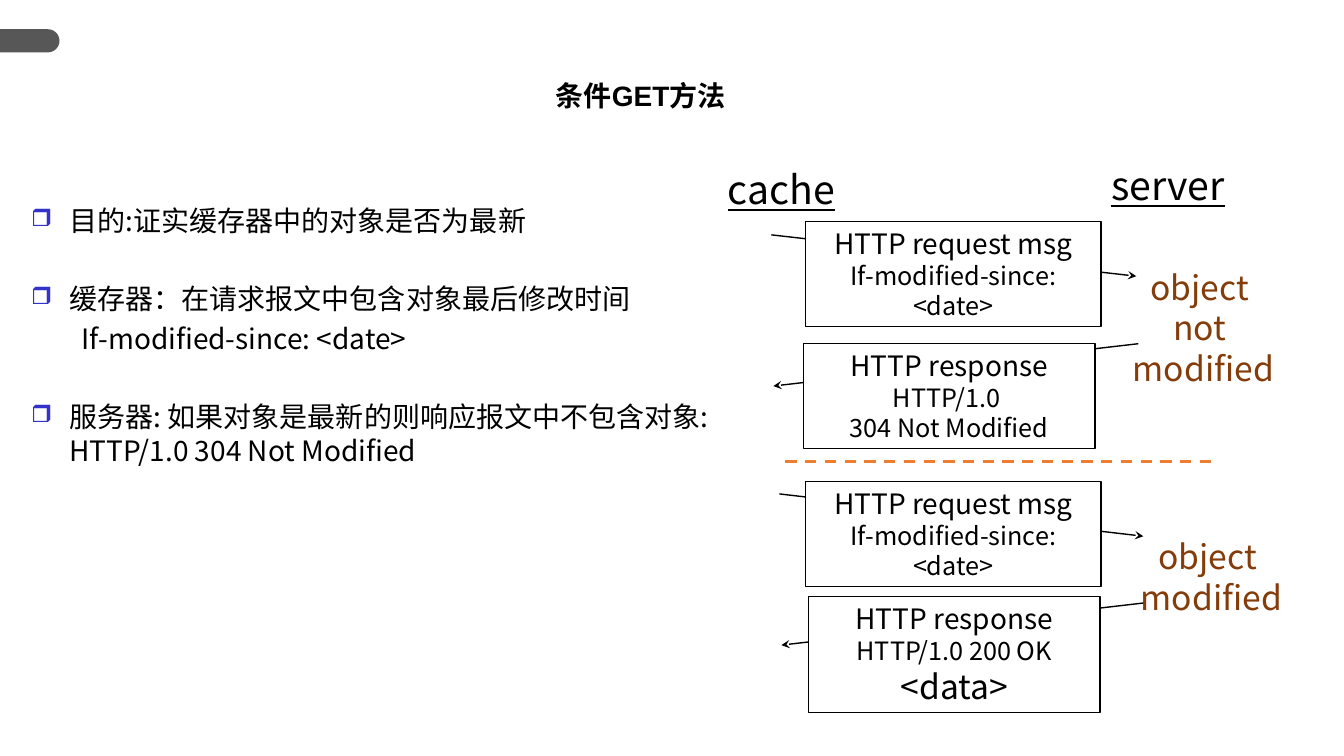
from lxml.etree import SubElement
from pptx import Presentation
from pptx.dml.color import RGBColor
from pptx.enum.dml import MSO_LINE
from pptx.enum.shapes import MSO_CONNECTOR, MSO_SHAPE
from pptx.enum.text import MSO_ANCHOR, MSO_AUTO_SIZE, PP_ALIGN
from pptx.oxml.ns import qn
from pptx.util import Inches, Pt

BLACK = RGBColor(0, 0, 0)
WHITE = RGBColor(0xFF, 0xFF, 0xFF)
GREY = RGBColor(0x57, 0x57, 0x57)
BROWN = RGBColor(0x84, 0x3C, 0x0B)
ORANGE = RGBColor(0xED, 0x7D, 0x31)
BULLET_BLUE = "3333CC"


class SlideBuilder:
    font = "Noto Sans CJK SC"

    def __init__(self, slide):
        self.slide = slide

    def add_run(self, paragraph, text, size, color=BLACK, font=None, bold=False, underline=False):
        run = paragraph.add_run()
        run.text = text
        run.font.name = font or self.font
        run.font.size = Pt(size)
        run.font.bold = bold
        run.font.underline = underline
        run.font.color.rgb = color
        SubElement(run.font._element, qn("a:ea"), typeface=self.font)

    def fill_lines(self, shape, lines, **style):
        """Write (text, size) pairs as centred paragraphs."""
        frame = shape.text_frame
        for index, (text, size) in enumerate(lines):
            paragraph = frame.add_paragraph() if index else frame.paragraphs[0]
            paragraph.alignment = PP_ALIGN.CENTER
            self.add_run(paragraph, text, size, **style)

    def text_box(self, left, top, width, height, wrap=True):
        shape = self.slide.shapes.add_textbox(Inches(left), Inches(top), Inches(width), Inches(height))
        shape.text_frame.word_wrap = wrap
        return shape

    def label(self, bounds, lines, **style):
        shape = self.text_box(*bounds, wrap=False)
        shape.text_frame.auto_size = MSO_AUTO_SIZE.SHAPE_TO_FIT_TEXT
        self.fill_lines(shape, lines, **style)

    def title(self, bounds, text):
        shape = self.text_box(*bounds)
        shape.text_frame.vertical_anchor = MSO_ANCHOR.MIDDLE
        self.fill_lines(shape, [(text, 20)], font="Arial", bold=True)
        shape.text_frame.paragraphs[0].line_spacing = 0.9

    def bullet_list(self, bounds, items):
        """Write (text, level, space before) items; level 0 has a bullet."""
        frame = self.text_box(*bounds).text_frame
        for index, (text, level, space) in enumerate(items):
            paragraph = frame.add_paragraph() if index else frame.paragraphs[0]
            paragraph.level = level
            paragraph.space_before = Pt(space)
            margin, indent = ((0.38, -0.38), (0.81, -0.31))[level]
            properties = paragraph._p.get_or_add_pPr()
            properties.set("marL", str(Inches(margin)))
            properties.set("indent", str(Inches(indent)))
            if level == 0:
                color = SubElement(properties, qn("a:buClr"))
                SubElement(color, qn("a:srgbClr"), val=BULLET_BLUE)
                SubElement(properties, qn("a:buSzPct"), val="85000")
                SubElement(properties, qn("a:buChar"), char="❒")
            else:
                SubElement(properties, qn("a:buNone"))
            self.add_run(paragraph, text, 20)

    def shape(self, kind, left, top, width, height, fill):
        shape = self.slide.shapes.add_shape(kind, Inches(left), Inches(top), Inches(width), Inches(height))
        shape.shadow.inherit = False
        shape.fill.solid()
        shape.fill.fore_color.rgb = fill
        shape.line.fill.background()
        return shape

    def corner_tab(self, left, top, width, height):
        # Drawn upright, then turned so that the round end points right
        shape = self.shape(MSO_SHAPE.ROUND_2_SAME_RECTANGLE, left + (width - height) / 2,
                           top + (height - width) / 2, height, width, GREY)
        shape.adjustments[0] = 0.5
        shape.rotation = 90

    def message(self, bounds, lines):
        shape = self.shape(MSO_SHAPE.RECTANGLE, *bounds, WHITE)
        shape.line.color.rgb = BLACK
        shape.line.width = Pt(1)
        shape.text_frame.word_wrap = True
        shape.text_frame.vertical_anchor = MSO_ANCHOR.TOP
        self.fill_lines(shape, lines)

    def line(self, points, color=BLACK, width=1, dash=None, arrow=True):
        connector = self.slide.shapes.add_connector(
            MSO_CONNECTOR.STRAIGHT, *(Inches(value) for value in points))
        connector.line.color.rgb = color
        connector.line.width = Pt(width)
        if dash:
            connector.line.dash_style = dash
        if arrow:
            SubElement(connector.line._get_or_add_ln(), qn("a:tailEnd"), type="stealth")
        SubElement(connector._element.spPr, qn("a:effectLst"))


def main():
    presentation = Presentation()
    presentation.slide_width = Inches(13.33)
    presentation.slide_height = Inches(7.5)
    builder = SlideBuilder(presentation.slides.add_slide(presentation.slide_layouts[6]))

    # Heading
    builder.corner_tab(0, 0.29, 0.59, 0.23)
    builder.title((2, 0.45, 8.71, 1.03), "条件GET方法")

    # Explanation
    builder.bullet_list((0.21, 1.97, 7.35, 3.98), [
        ("目的:证实缓存器中的对象是否为最新", 0, 0),
        ("缓存器：在请求报文中包含对象最后修改时间", 0, 32),
        ("If-modified-since: <date>", 1, 4),
        ("服务器: 如果对象是最新的则响应报文中不包含对象: HTTP/1.0 304 Not Modified", 0, 32),
    ])

    # The two ends of the exchange
    builder.label((7.11, 1.59, 1.28, 0.57), [("cache", 28)], underline=True)
    builder.label((10.91, 1.55, 1.35, 0.57), [("server", 28)], underline=True)

    # Messages, each with the arrow that passes behind it
    request = [("HTTP request msg", 20), ("If-modified-since: <date>", 18)]
    not_modified = [("HTTP response", 20), ("HTTP/1.0 ", 18), ("304 Not Modified", 18)]
    modified = [("HTTP response", 20), ("HTTP/1.0 200 OK", 18), ("<data>", 24)]
    for arrow, bounds, lines in [
        ((7.65, 2.33, 11.27, 2.74), (7.99, 2.2, 2.93, 1.04), request),
        ((11.29, 3.41, 7.67, 3.83), (7.97, 3.41, 2.89, 1.04), not_modified),
        ((7.73, 4.9, 11.34, 5.32), (7.99, 4.78, 2.93, 1.04), request),
        ((11.36, 5.98, 7.75, 6.4), (8.02, 5.92, 2.89, 1.15), modified),
    ]:
        builder.line(arrow)
        builder.message(bounds, lines)

    # Divider between the two cases
    builder.line((7.79, 4.58, 12.06, 4.58), ORANGE, 2, MSO_LINE.DASH, arrow=False)

    # State of the object in each case
    for bounds, words in [
        ((11.11, 2.6, 1.65, 1.31), ("object ", "not ", "modified")),
        ((11.19, 5.27, 1.65, 0.91), ("object ", "modified")),
    ]:
        builder.label(bounds, [(word, 24) for word in words], color=BROWN)

    presentation.save("out.pptx")


if __name__ == "__main__":
    main()
